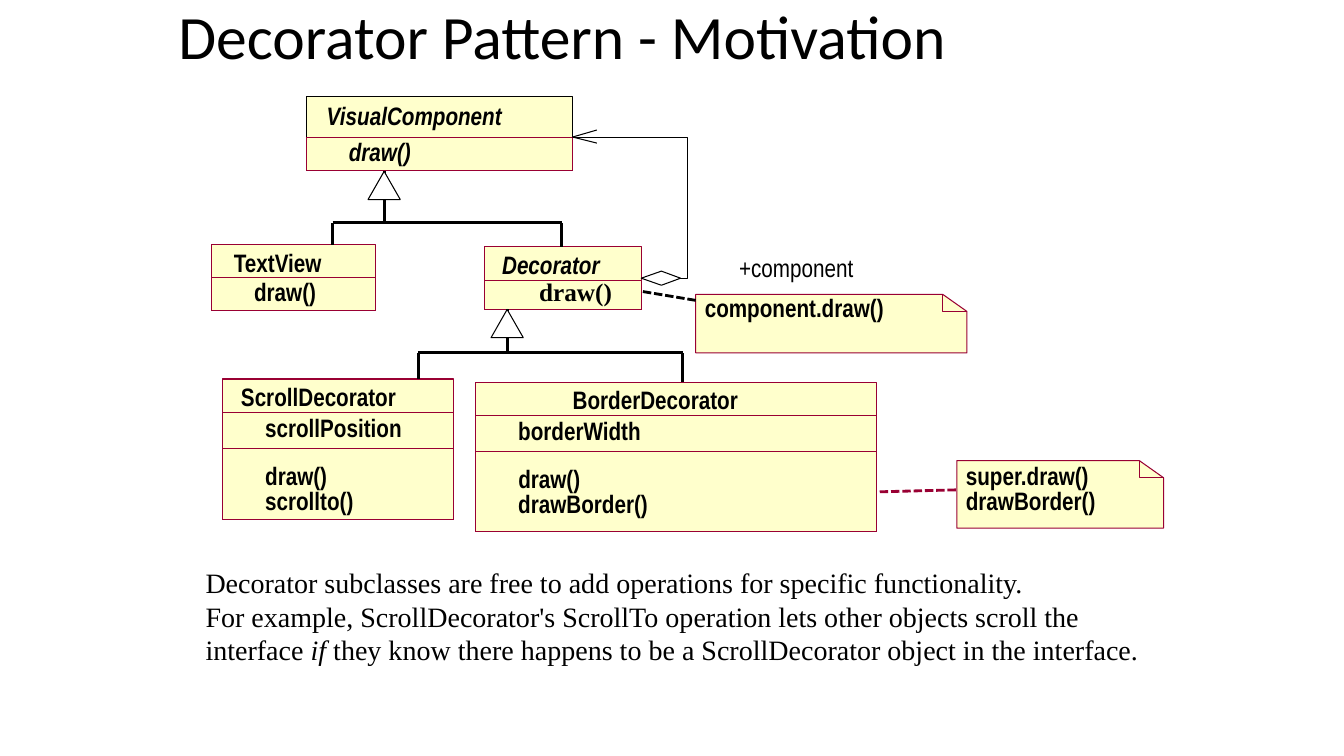
from dataclasses import dataclass

from lxml import etree
from pptx import Presentation
from pptx.dml.color import RGBColor
from pptx.enum.dml import MSO_LINE
from pptx.enum.shapes import MSO_CONNECTOR, MSO_SHAPE
from pptx.enum.text import MSO_ANCHOR
from pptx.oxml.ns import qn
from pptx.util import Inches, Pt

STRAIGHT = MSO_CONNECTOR.STRAIGHT
RECTANGLE = MSO_SHAPE.RECTANGLE
DASH = MSO_LINE.SQUARE_DOT
MIDDLE = MSO_ANCHOR.MIDDLE


@dataclass(frozen=True)
class Theme:
    black: RGBColor = RGBColor(0x00, 0x00, 0x00)
    white: RGBColor = RGBColor(0xFF, 0xFF, 0xFF)
    cream: RGBColor = RGBColor(0xFF, 0xFF, 0xCC)
    crimson: RGBColor = RGBColor(0x99, 0x00, 0x33)
    title_font: str = "Calibri"
    label_font: str = "Arial Narrow"
    body_font: str = "Times New Roman"
    title_size: int = 44
    body_size: int = 20
    label_size: int = 18
    hairline: int = 0
    line_spacing: float = 0.9


THEME = Theme()
LABEL_HEIGHT = 0.27
ROW_STEP = 0.25


def add_span(para, text, font, size, bold=False, italic=False):
    span = para.add_run()
    span.text = text
    span.font.name = font
    span.font.size = Pt(size)
    span.font.bold = bold
    span.font.italic = italic
    span.font.color.rgb = THEME.black


def add_text_box(page, box, wrap=True, inset=None):
    frame = page.shapes.add_textbox(*map(Inches, box)).text_frame
    frame.word_wrap = wrap
    if inset is not None:
        frame.margin_left = frame.margin_right = Inches(inset)
        frame.margin_top = frame.margin_bottom = Inches(inset)
    return frame


def add_label(page, text, left, top, width, bold=True, italic=False):
    frame = add_text_box(page, (left, top, width, LABEL_HEIGHT), wrap=False, inset=0)
    para = frame.paragraphs[0]
    para.line_spacing = THEME.line_spacing
    add_span(para, text, THEME.label_font, THEME.label_size, bold, italic)


def paint(shape, fill, line):
    shape.shadow.inherit = False
    if fill is None:
        shape.fill.background()
    else:
        shape.fill.solid()
        shape.fill.fore_color.rgb = fill
    shape.line.color.rgb = line
    shape.line.width = Pt(THEME.hairline)


def add_outline(page, points, fill=None, line=THEME.black):
    """Draw a polyline, closed when it has a fill."""
    start, *rest = [(Inches(x), Inches(y)) for x, y in points]
    builder = page.shapes.build_freeform(*start, scale=1.0)
    builder.add_line_segments(rest, close=fill is not None)
    paint(builder.convert_to_shape(), fill, line)


def add_line(page, start, end, color=THEME.black, dashed=False):
    line = page.shapes.add_connector(STRAIGHT, *map(Inches, (*start, *end)))
    line.line.color.rgb = color
    line.line.width = Pt(THEME.hairline)
    if dashed:
        line.line.dash_style = DASH
    etree.SubElement(line._element.spPr, qn("a:effectLst"))


def add_class(page, box, dividers, labels, italic=False, border=THEME.crimson):
    """Draw a class; dividers and labels are offsets from its top left corner."""
    left, top, width, height = box
    outer = page.shapes.add_shape(RECTANGLE, *map(Inches, box))
    paint(outer, THEME.cream, border)
    for offset in dividers:
        section = (left, top + offset, width, height - offset)
        paint(page.shapes.add_shape(RECTANGLE, *map(Inches, section)), None, THEME.crimson)
    for text, dx, dy, label_width in labels:
        add_label(page, text, left + dx, top + dy, label_width, italic=italic)


def add_note(page, box, lines, text_top):
    left, top, width, height = box
    right, bottom = left + width, top + height
    fold_x, fold_y = right - 0.24, top + 0.17
    add_outline(page, [(left, top), (fold_x, top), (right, fold_y), (right, bottom),
                       (left, bottom)], THEME.cream, THEME.crimson)
    add_outline(page, [(fold_x, top), (fold_x, fold_y), (right, fold_y)],
                line=THEME.crimson)
    for row, (text, label_width) in enumerate(lines):
        add_label(page, text, left + 0.09, top + text_top + row * ROW_STEP, label_width)


def add_inheritance(page, apex, bar_y, children):
    """Link child class tops to the parent touched by the triangle's apex."""
    x, y = apex
    add_line(page, (x, bar_y), apex)
    add_line(page, (children[0][0], bar_y), (children[-1][0], bar_y))
    add_outline(page, [apex, (x + 0.16, y + 0.28), (x - 0.16, y + 0.28)], THEME.white)
    for child in children:
        add_line(page, child, (child[0], bar_y))


def add_aggregation(page, whole, part, bend_x):
    """Run from the diamond at the whole up to the open arrow at the part."""
    x, y = whole
    tip_x, tip_y = part
    add_outline(page, [whole, (bend_x, y), (bend_x, tip_y), part])
    add_outline(page, [(tip_x + 0.24, tip_y - 0.07), part, (tip_x + 0.24, tip_y + 0.06)])
    add_outline(page, [whole, (x + 0.2, y + 0.07), (x + 0.39, y), (x + 0.2, y - 0.07)],
                THEME.white)


def add_title(page, box):
    frame = add_text_box(page, box)
    frame.vertical_anchor = MIDDLE
    para = frame.paragraphs[0]
    para.line_spacing = THEME.line_spacing
    add_span(para, "Decorator Pattern - Motivation", THEME.title_font, THEME.title_size)


def add_explanation(page, box):
    para = add_text_box(page, box).paragraphs[0]
    font, size = THEME.body_font, THEME.body_size
    add_span(para, "Decorator subclasses are free to add operations for specific "
             "functionality.", font, size)
    para.add_line_break()
    add_span(para, "For example, ScrollDecorator's ScrollTo operation lets other "
             "objects scroll the interface ", font, size)
    add_span(para, "if", font, size, italic=True)
    add_span(para, " they know there happens to be a ScrollDecorator object in the "
             "interface.", font, size)


def add_diagram(page):
    add_class(page, (2.1, 2.43, 1.62, 0.65), [0.32],
              [("TextView", 0.22, 0.06, 0.88), ("draw()", 0.42, 0.35, 0.62)])
    add_class(page, (4.81, 2.45, 1.55, 0.62), [0.33],
              [("Decorator", 0.17, 0.06, 0.98)], italic=True)
    add_class(page, (3.04, 0.96, 2.64, 0.73), [0.4],
              [("VisualComponent", 0.2, 0.07, 1.76), ("draw()", 0.42, 0.43, 0.62)],
              italic=True, border=THEME.black)
    add_inheritance(page, (3.81, 1.7), 2.21, [(3.3, 2.43), (5.57, 2.45)])
    add_aggregation(page, (6.36, 2.76), (5.68, 1.36), 6.82)
    add_label(page, "+component", 7.33, 2.54, 1.15, bold=False)
    add_note(page, (6.9, 2.92, 2.69, 0.58), [("component.draw()", 1.79)], 0.01)

    dividers = [0.33, 0.69]
    add_class(page, (2.21, 3.76, 2.29, 1.39), dividers,
              [("ScrollDecorator", 0.18, 0.06, 1.55), ("scrollPosition", 0.42, 0.36, 1.37),
               ("draw()", 0.42, 0.84, 0.62), ("scrollto()", 0.42, 0.84 + ROW_STEP, 0.89)])
    add_class(page, (4.72, 3.79, 3.97, 1.48), dividers,
              [("BorderDecorator", 0.96, 0.06, 1.66), ("borderWidth", 0.42, 0.36, 1.23),
               ("draw()", 0.42, 0.84, 0.62), ("drawBorder()", 0.42, 0.84 + ROW_STEP, 1.3)])
    add_note(page, (9.49, 4.57, 2.05, 0.67),
             [("super.draw()", 1.23), ("drawBorder()", 1.3)], 0.03)
    add_line(page, (6.9, 2.98), (6.36, 2.89), dashed=True)
    add_inheritance(page, (5.03, 3.07), 3.5, [(4.15, 3.76), (6.77, 3.79)])
    add_line(page, (9.48, 4.86), (8.69, 4.88), THEME.crimson, dashed=True)

    para = add_text_box(page, (5.25, 2.73, 0.93, 0.37), wrap=False).paragraphs[0]
    para.line_spacing = THEME.line_spacing
    add_span(para, "draw()", THEME.body_font, THEME.label_size, bold=True)


def main():
    deck = Presentation()
    deck.slide_width, deck.slide_height = Inches(13.33), Inches(7.5)
    page = deck.slides.add_slide(deck.slide_layouts[6])
    add_title(page, (1.67, 0, 9.84, 0.78))
    add_explanation(page, (1.94, 5.56, 9.73, 1.11))
    add_diagram(page)
    deck.save("out.pptx")


if __name__ == "__main__":
    main()
